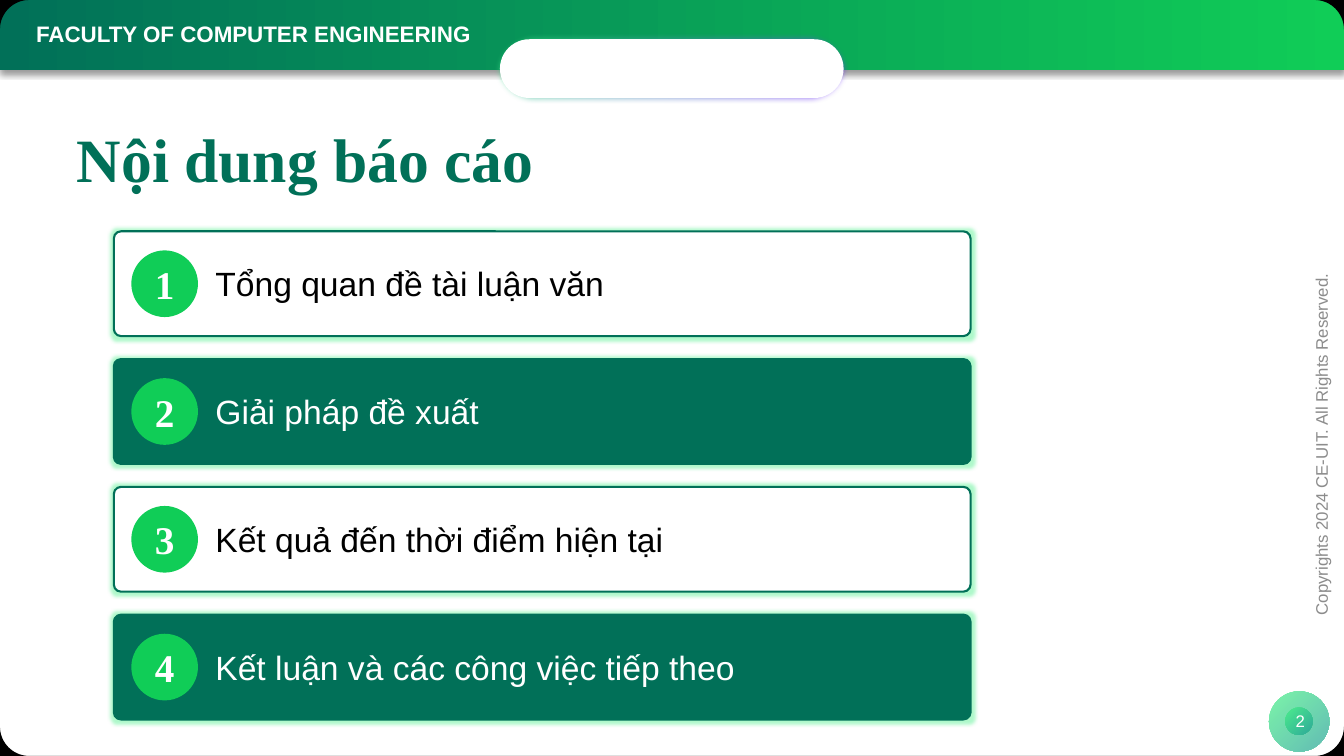
"""Builds the contents slide of a thesis report."""
import math
from dataclasses import dataclass

import pptx
import pptx.dml.color
import pptx.enum.shapes
import pptx.enum.text
import pptx.oxml.ns
import pptx.util
from lxml import etree

FACULTY = "FACULTY OF COMPUTER ENGINEERING"
TITLE = "Nội dung báo cáo"
TOPICS = [
    "Tổng quan đề tài luận văn",
    "Giải pháp đề xuất",
    "Kết quả đến thời điểm hiện tại",
    "Kết luận và các công việc tiếp theo",
]
COPYRIGHT = "Copyrights 2024 CE-UIT. All Rights Reserved."
PAGE_NUMBER = "2"

WIDTH, HEIGHT, CORNER = 33.87, 19.05, 0.74
CARD_LEFT, CARD_TOP, CARD_PITCH = 2.87, 5.83, 3.22
CARD_WIDTH, CARD_HEIGHT = 21.59, 2.64


@dataclass(frozen=True)
class Theme:
    """Colours, fonts and type sizes of the slide."""
    deep: str = "017058"
    bright: str = "10CD57"
    mint: str = "38EF7D"
    teal: str = "11998E"
    violet: str = "752AFF"
    white: str = "FFFFFF"
    black: str = "000000"
    grey: str = "8C8C8C"
    sans: str = "Arial"
    serif: str = "Times New Roman"
    title: int = 44
    number: int = 28
    topic: int = 24
    header: int = 16
    small: int = 12


THEME = Theme()
Cm = pptx.util.Cm
Kind = pptx.enum.shapes.MSO_SHAPE
Align = pptx.enum.text.PP_ALIGN
qn = pptx.oxml.ns.qn


def rgb(code):
    return pptx.dml.color.RGBColor.from_string(code)


def write(shape, text, size, color, font=THEME.sans, bold=False, align=Align.LEFT):
    frame = shape.text_frame
    frame.auto_size = pptx.enum.text.MSO_AUTO_SIZE.NONE
    frame.word_wrap = True
    frame.vertical_anchor = pptx.enum.text.MSO_ANCHOR.MIDDLE
    para = frame.paragraphs[0]
    para.alignment = align
    span = para.add_run()
    span.text = text
    span.font.name, span.font.size, span.font.bold = font, pptx.util.Pt(size), bold
    span.font.color.rgb = rgb(color)
    return para


def add_text(page, place, *style, **options):
    box = page.shapes.add_textbox(*map(Cm, place))
    write(box, *style, **options)
    return box


def add_shape(page, kind, place, fill=None, line=None, rounding=None):
    shape = page.shapes.add_shape(kind, *map(Cm, place))
    shape.shadow.inherit = False
    if rounding is not None:
        shape.adjustments[0] = rounding
    if fill:
        shape.fill.solid()
        shape.fill.fore_color.rgb = rgb(fill)
    if line:
        shape.line.color.rgb = rgb(line)
        shape.line.width = pptx.util.Pt(1.5)
    else:
        shape.line.fill.background()
    return shape


def shade(shape, start, end, angle=0, opacity=100):
    shape.fill.gradient()
    shape.fill.gradient_angle = angle
    for stop, position, code in zip(shape.fill.gradient_stops, (0, 1), (start, end)):
        stop.position = position
        stop.color.rgb = rgb(code)
    if opacity < 100:
        for color in shape.element.iter(qn("a:srgbClr")):
            etree.SubElement(color, qn("a:alpha"), val=str(opacity * 1000))


def add_effect(shape, name, color=None, opacity=100, **settings):
    effects = shape.element.spPr.find(qn("a:effectLst"))
    effect = etree.SubElement(effects, qn("a:" + name), **settings)
    if color:
        tint = etree.SubElement(effect, qn("a:srgbClr"), val=color)
        etree.SubElement(tint, qn("a:alpha"), val=str(opacity * 1000))


def add_header(page):
    band = add_shape(page, Kind.RECTANGLE, (0, 0, WIDTH, 1.76))
    shade(band, THEME.deep, THEME.bright)
    add_effect(band, "outerShdw", THEME.black, 40, blurRad="50800", dist="38100", dir="5400000")
    add_text(page, (0.66, 0.38, 20.6, 0.94), FACULTY, THEME.header, THEME.white, bold=True)
    halo = add_shape(page, Kind.ROUNDED_RECTANGLE, (12.45, 0.84, 8.97, 1.78), rounding=0.5)
    shade(halo, THEME.mint, THEME.violet, 315)
    add_effect(halo, "softEdge", rad="63500")
    add_shape(page, Kind.ROUNDED_RECTANGLE, (12.6, 0.99, 8.66, 1.48), THEME.white, rounding=0.5)


def add_corners(page):
    arc = [(CORNER * (1 - math.cos(a)), CORNER * (1 - math.sin(a)))
           for a in (math.radians(step * 5) for step in range(19))]
    rim = arc + [(WIDTH - x, y) for x, y in reversed(arc)] + [(WIDTH, 0), (0, 0)]
    top = [(Cm(x), Cm(y)) for x, y in rim]
    bottom = [(x, Cm(HEIGHT) - y) for x, y in top]
    builder = page.shapes.build_freeform(*top[0])
    builder.add_line_segments(top[1:])
    builder.move_to(*bottom[0])
    builder.add_line_segments(bottom[1:])
    frame = builder.convert_to_shape()
    frame.shadow.inherit = False
    frame.fill.solid()
    frame.fill.fore_color.rgb = rgb(THEME.black)
    frame.line.fill.background()


def add_card(page, index, topic):
    top = CARD_TOP + index * CARD_PITCH
    fill, ink = [(THEME.white, THEME.black), (THEME.deep, THEME.white)][index % 2]
    card = add_shape(page, Kind.ROUNDED_RECTANGLE, (CARD_LEFT, top, CARD_WIDTH, CARD_HEIGHT),
                     fill, THEME.deep, 0.068)
    add_effect(card, "glow", THEME.mint, 40, rad="63500")
    disc = add_shape(page, Kind.OVAL, (CARD_LEFT + 0.44, top + 0.48, 1.68, 1.68), THEME.bright)
    write(disc, str(index + 1), THEME.number, THEME.white, THEME.serif, True, Align.CENTER)
    add_text(page, (CARD_LEFT + 2.31, top + 0.68, 18.36, 1.27), topic, THEME.topic, ink)


def add_footer(page):
    for place in [(31.98, 17.42, 1.52, 1.52), (32.39, 17.83, 0.69, 0.69)]:
        badge = add_shape(page, Kind.OVAL, place)
        shade(badge, THEME.mint, THEME.teal, 315, 65)
    notice = add_text(page, (27.58, 10.69, 11.43, 1.02), COPYRIGHT, THEME.small, THEME.grey,
                      align=Align.CENTER)
    notice.rotation = 270
    add_text(page, (28.96, 17.65, 7.62, 1.02), PAGE_NUMBER, THEME.small, THEME.white,
             align=Align.CENTER)


def main():
    deck = pptx.Presentation()
    deck.slide_width, deck.slide_height = Cm(WIDTH), Cm(HEIGHT)
    page = deck.slides.add_slide(deck.slide_layouts[5])
    title = page.shapes.title
    title.left, title.top, title.width, title.height = map(Cm, (1.68, 2.87, 30.5, 2.46))
    para = write(title, TITLE, THEME.title, THEME.deep, THEME.serif, True)
    para.line_spacing = 0.9
    add_header(page)
    add_corners(page)
    for index, topic in enumerate(TOPICS):
        add_card(page, index, topic)
    add_footer(page)
    deck.save("out.pptx")


if __name__ == "__main__":
    main()
